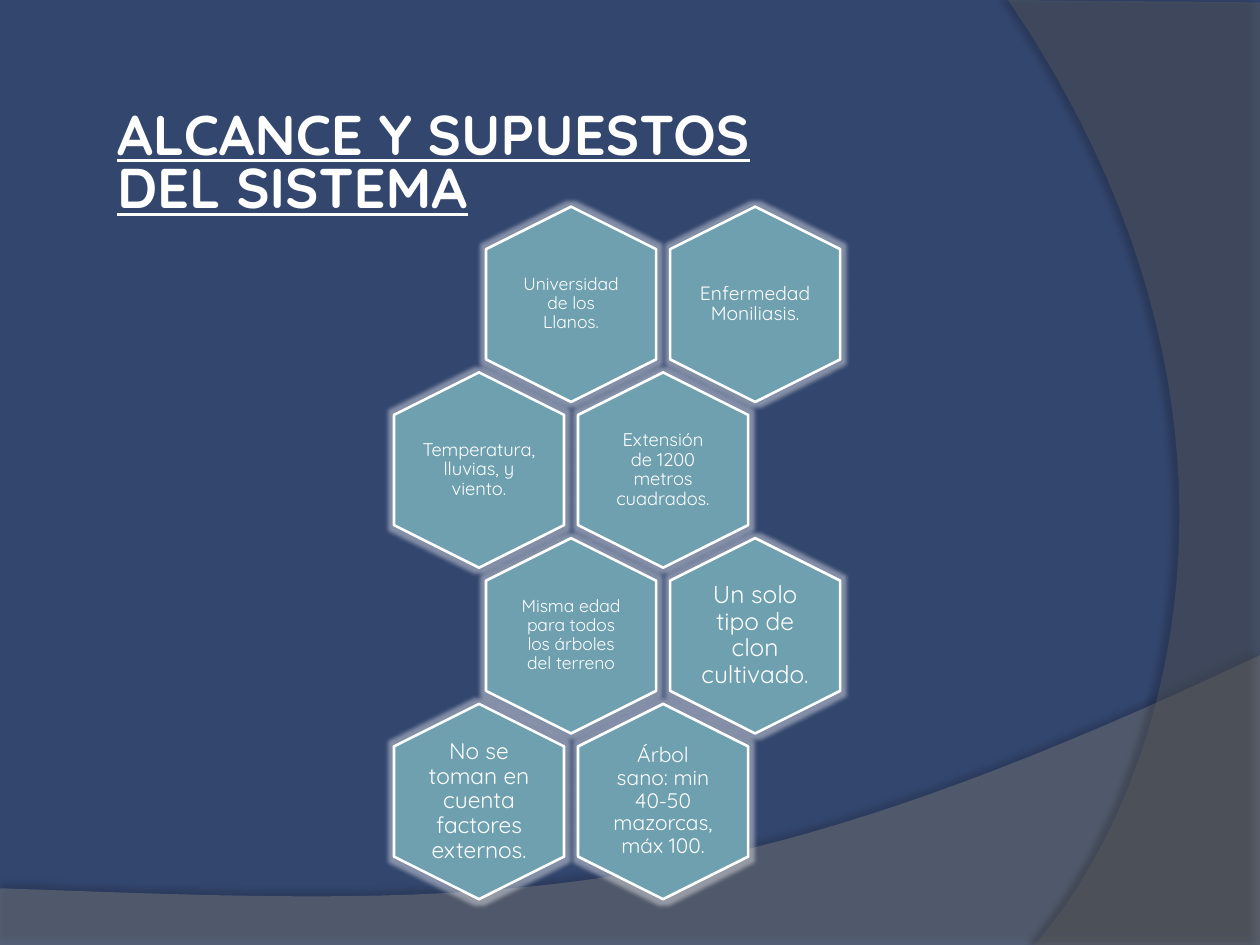
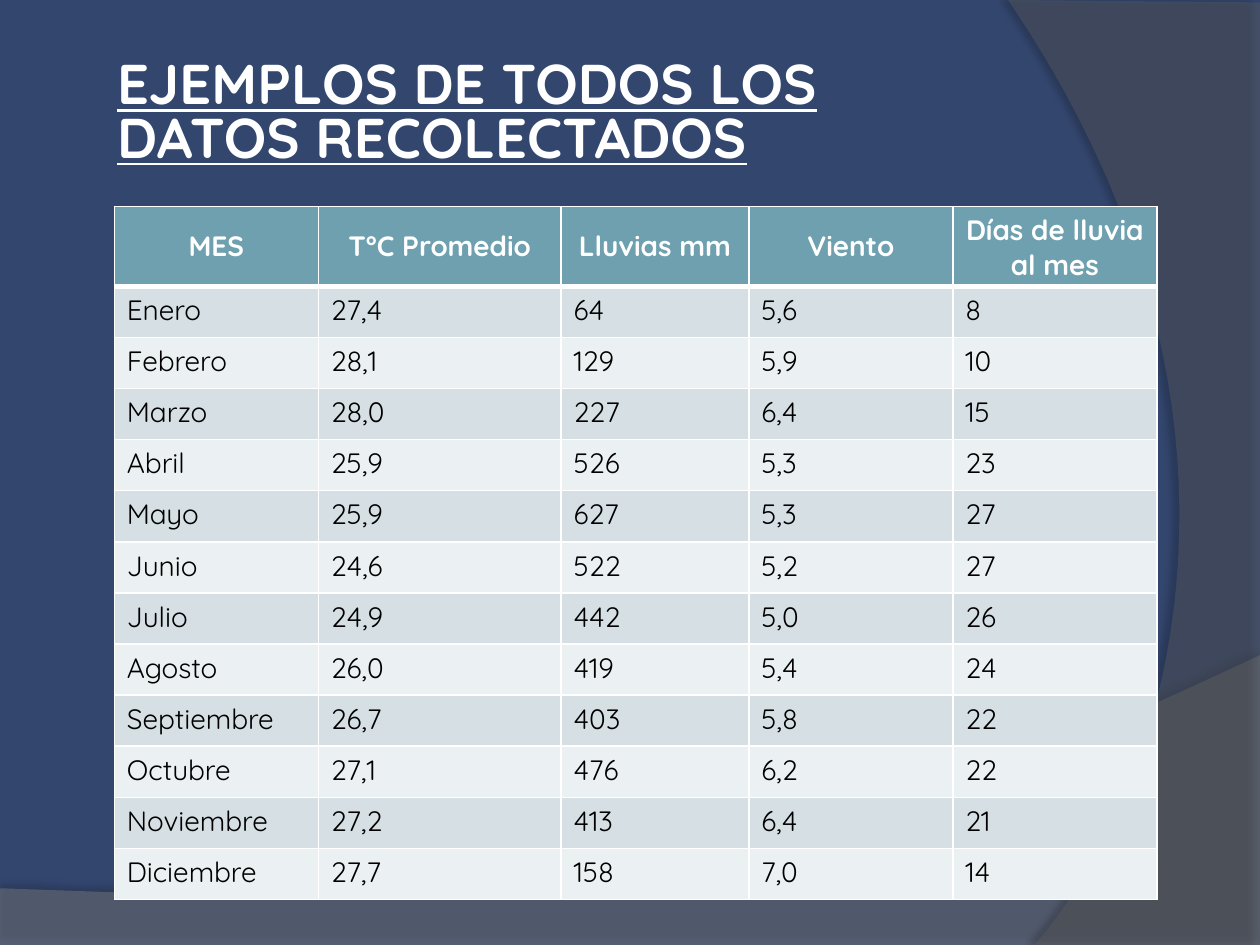
from lxml import etree
from pptx import Presentation
from pptx import util as u
from pptx.dml.color import RGBColor
from pptx.enum import shapes, text
from pptx.oxml import ns

FONT = "Quicksand"
COLORS = {
    "background": "33466E",
    "wave": "7F7F7F",
    "arc": "5E5E5E",
    "teal": "6EA0B0",
    "band_dark": "D5DFE4",
    "band_light": "EBF0F2",
    "white": "FFFFFF",
    "black": "000000",
}

HEX_WIDTH, HEX_HEIGHT = 111.6, 97.2
HEX_LEFT, HEX_TOP = 270.5, 125.3
HEX_STEP_X, HEX_STEP_Y = 105.2, 94.7
LABEL_WIDTH, LABEL_HEIGHT = 67, 77

# Each row: (label, font size, inset)
ASSUMPTIONS = [
    [("Universidad de los Llanos.", 10, 3), ("Enfermedad Moniliasis.", 11, 0)],
    [("Temperatura, lluvias, y viento.", 10.5, 0),
     ("Extensión de 1200 metros cuadrados.", 10.5, 3.6)],
    [("Misma edad para todos los árboles del terreno", 10, 3),
     ("Un solo tipo de clon cultivado.", 14, 0)],
    [("No se toman en cuenta factores externos.", 13, 0),
     ("Árbol sano: min 40-50 mazorcas, máx 100.", 12, 3.6)],
]

WEATHER = [
    ("MES", "T°C Promedio", "Lluvias mm", "Viento", "Días de lluvia al mes"),
    ("Enero", "27,4", "64", "5,6", "8"),
    ("Febrero", "28,1", "129", "5,9", "10"),
    ("Marzo", "28,0", "227", "6,4", "15"),
    ("Abril", "25,9", "526", "5,3", "23"),
    ("Mayo", "25,9", "627", "5,3", "27"),
    ("Junio", "24,6", "522", "5,2", "27"),
    ("Julio", "24,9", "442", "5,0", "26"),
    ("Agosto", "26,0", "419", "5,4", "24"),
    ("Septiembre", "26,7", "403", "5,8", "22"),
    ("Octubre", "27,1", "476", "6,2", "22"),
    ("Noviembre", "27,2", "413", "6,4", "21"),
    ("Diciembre", "27,7", "158", "7,0", "14"),
]


def rgb(name):
    return RGBColor.from_string(COLORS[name])


def add_xml(parent, tag, **attributes):
    values = {key: str(value) for key, value in attributes.items()}
    return etree.SubElement(parent, ns.qn(tag), values)


def add_xml_color(parent, name, opacity=100):
    color = add_xml(parent, "a:srgbClr", val=COLORS[name])
    if opacity < 100:
        add_xml(color, "a:alpha", val=opacity * 1000)


def curve(start, control1, control2, end, steps=40):
    """Return points along a cubic Bezier curve, both ends included."""
    points = []
    for step in range(steps + 1):
        t = step / steps
        weights = ((1 - t) ** 3, 3 * t * (1 - t) ** 2, 3 * t ** 2 * (1 - t), t ** 3)
        corners = (start, control1, control2, end)
        points.append(tuple(sum(weight * corner[axis] for weight, corner in zip(weights, corners))
                            for axis in (0, 1)))
    return points


class SlideWriter:
    """Holds the deck style and the slide being written."""

    def __init__(self):
        self.deck = Presentation()
        self.deck.slide_width, self.deck.slide_height = u.Pt(720), u.Pt(540)
        self.page = None

    def new_page(self, title, top, width):
        self.page = self.deck.slides.add_slide(self.deck.slide_layouts[6])
        fill = self.page.background.fill
        fill.solid()
        fill.fore_color.rgb = rgb("background")
        wave = curve((720, 374.4), (402.5, 524.9), (281.5, 517.7), (0, 507.6))
        self.backdrop([(0, 540), (720, 540)] + wave, "wave", 45, 35, 3.5, 270)
        arc = curve((591.1, 540), (673.2, 445.7), (733, 229.7), (576, 0))
        self.backdrop([(720, 1.4), (720, 540)] + arc, "arc", 40, 45, 4, 180)
        box = self.text_box(title, 59.8, top, width, 69, 32, spacing=0.8)
        font = box.text_frame.paragraphs[0].runs[0].font
        font.bold = font.underline = True

    def backdrop(self, points, color, opacity, shadow_opacity, distance, angle):
        """Draw a translucent outline that casts a soft shadow."""
        corners = [(u.Pt(x), u.Pt(y)) for x, y in points]
        builder = self.page.shapes.build_freeform(*corners[0])
        builder.add_line_segments(corners[1:], close=True)
        shape = builder.convert_to_shape()
        self.paint(shape, color)
        shape.line.fill.background()
        fill_color = shape._element.spPr.find(ns.qn("a:solidFill"))[0]
        add_xml(fill_color, "a:alpha", val=opacity * 1000)
        effects = shape._element.spPr.find(ns.qn("a:effectLst"))
        shadow = add_xml(effects, "a:outerShdw", blurRad=u.Pt(4), dist=u.Pt(distance),
                         dir=angle * 60000, algn="ctr", rotWithShape=0)
        add_xml_color(shadow, "black", shadow_opacity)

    def paint(self, shape, color):
        shape.shadow.inherit = False
        shape.fill.solid()
        shape.fill.fore_color.rgb = rgb(color)

    def style_text(self, frame, size, color="white", bold=False, align=None, spacing=None):
        para = frame.paragraphs[0]
        para.alignment = align
        para.line_spacing = spacing
        for span in para.runs:
            span.font.name = FONT
            span.font.size = u.Pt(size)
            span.font.bold = bold
            span.font.color.rgb = rgb(color)

    def text_box(self, content, left, top, width, height, size, align=None, spacing=None):
        box = self.page.shapes.add_textbox(u.Pt(left), u.Pt(top), u.Pt(width), u.Pt(height))
        frame = box.text_frame
        frame.word_wrap = True
        frame.text = content
        self.style_text(frame, size, align=align, spacing=spacing)
        return box

    def hexagon(self, label, left, top, size, inset):
        shape = self.page.shapes.add_shape(
            shapes.MSO_SHAPE.HEXAGON, u.Pt(left), u.Pt(top), u.Pt(HEX_WIDTH), u.Pt(HEX_HEIGHT))
        shape.adjustments[0] = 0.25
        shape.rotation = 90
        self.paint(shape, "teal")
        shape.line.color.rgb = rgb("white")
        shape.line.width = u.Pt(1.5)
        effects = shape._element.spPr.find(ns.qn("a:effectLst"))
        add_xml_color(add_xml(effects, "a:glow", rad=u.Pt(5)), "white", 40)

        box = self.text_box(label, left + (HEX_WIDTH - LABEL_WIDTH) / 2,
                            top + (HEX_HEIGHT - LABEL_HEIGHT) / 2, LABEL_WIDTH, LABEL_HEIGHT,
                            size, text.PP_ALIGN.CENTER, 0.9)
        frame = box.text_frame
        frame.vertical_anchor = text.MSO_ANCHOR.MIDDLE
        frame.margin_left = frame.margin_right = u.Pt(inset)
        frame.margin_top = frame.margin_bottom = u.Pt(inset)

    def cell_borders(self, cell, top=1, bottom=1):
        properties = cell._tc.get_or_add_tcPr()
        for side, width in (("L", 1), ("R", 1), ("T", top), ("B", bottom)):
            line = add_xml(properties, f"a:ln{side}", w=u.Pt(width))
            add_xml_color(add_xml(line, "a:solidFill"), "white")

    def table(self, rows, left, top, widths, header_height, row_height):
        height = header_height + row_height * (len(rows) - 1)
        table = self.page.shapes.add_table(
            len(rows), len(widths), u.Pt(left), u.Pt(top),
            u.Pt(sum(widths)), u.Pt(height)).table
        table.first_row = table.horz_banding = False
        for column, width in zip(table.columns, widths):
            column.width = u.Pt(width)
        for index, values in enumerate(rows):
            header = index == 0
            table.rows[index].height = u.Pt(header_height if header else row_height)
            band = "teal" if header else "band_dark" if index % 2 else "band_light"
            for cell, value in zip(table.rows[index].cells, values):
                self.cell_borders(cell, top=3 if index == 1 else 1, bottom=3 if header else 1)
                cell.fill.solid()
                cell.fill.fore_color.rgb = rgb(band)
                cell.text_frame.text = value
                if header:
                    cell.vertical_anchor = text.MSO_ANCHOR.MIDDLE
                    self.style_text(cell.text_frame, 16, bold=True, align=text.PP_ALIGN.CENTER)
                else:
                    self.style_text(cell.text_frame, 16, "black")


def main():
    writer = SlideWriter()

    writer.new_page("ALCANCE Y SUPUESTOS DEL SISTEMA", 60.5, 436.3)
    for row, cells in enumerate(ASSUMPTIONS):
        row_left = HEX_LEFT - row % 2 * HEX_STEP_X / 2
        for column, (label, size, inset) in enumerate(cells):
            writer.hexagon(label, row_left + column * HEX_STEP_X,
                           HEX_TOP + row * HEX_STEP_Y, size, inset)

    writer.new_page("EJEMPLOS DE TODOS LOS DATOS RECOLECTADOS", 31.7, 476)
    writer.table(WEATHER, 65.3, 118, (116.6, 138.7, 107.3, 116.6, 116.6), 45.6, 29.2)

    writer.deck.save("out.pptx")


if __name__ == "__main__":
    main()
